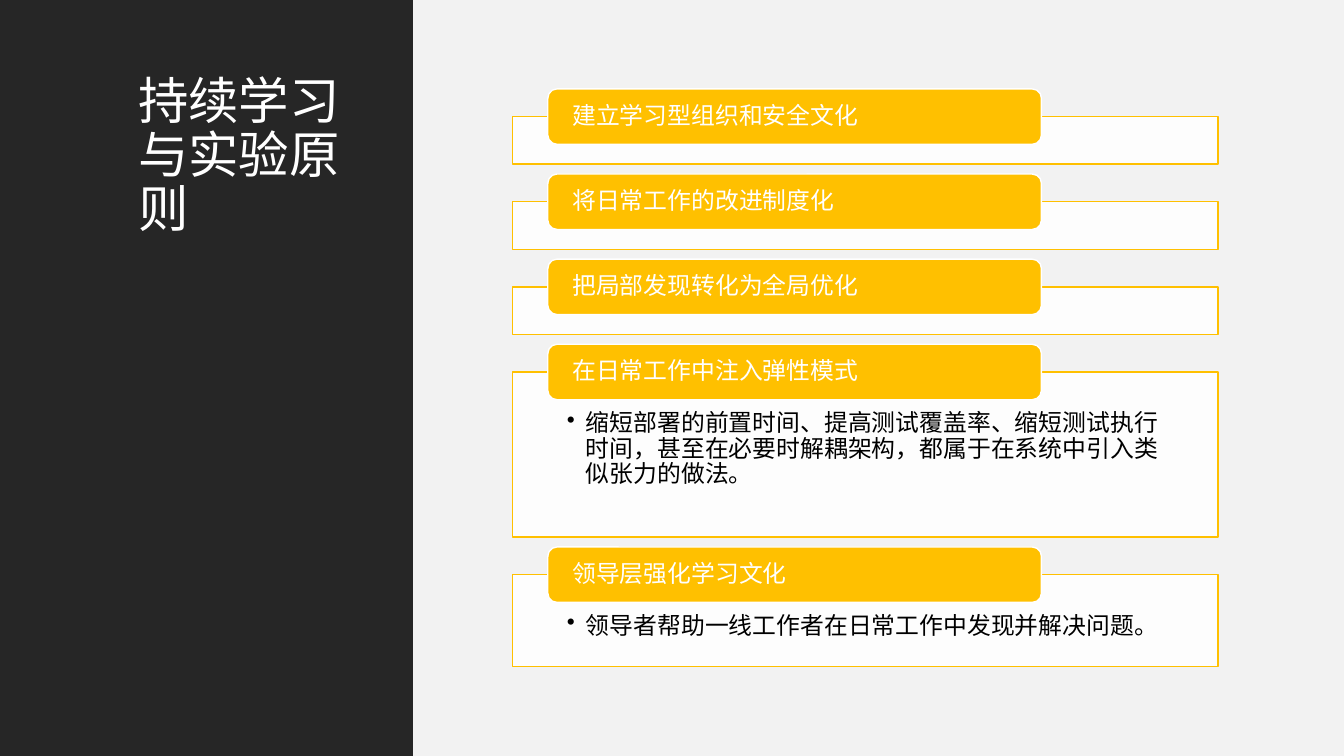
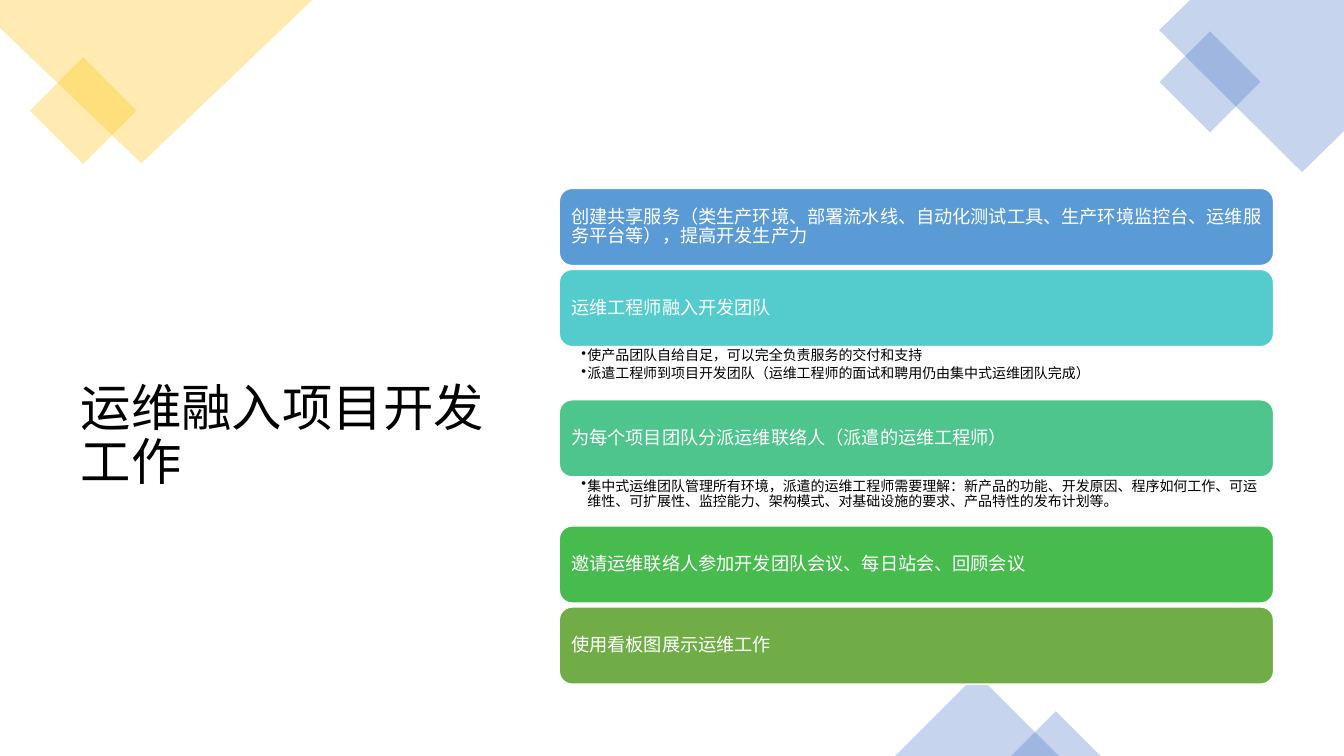
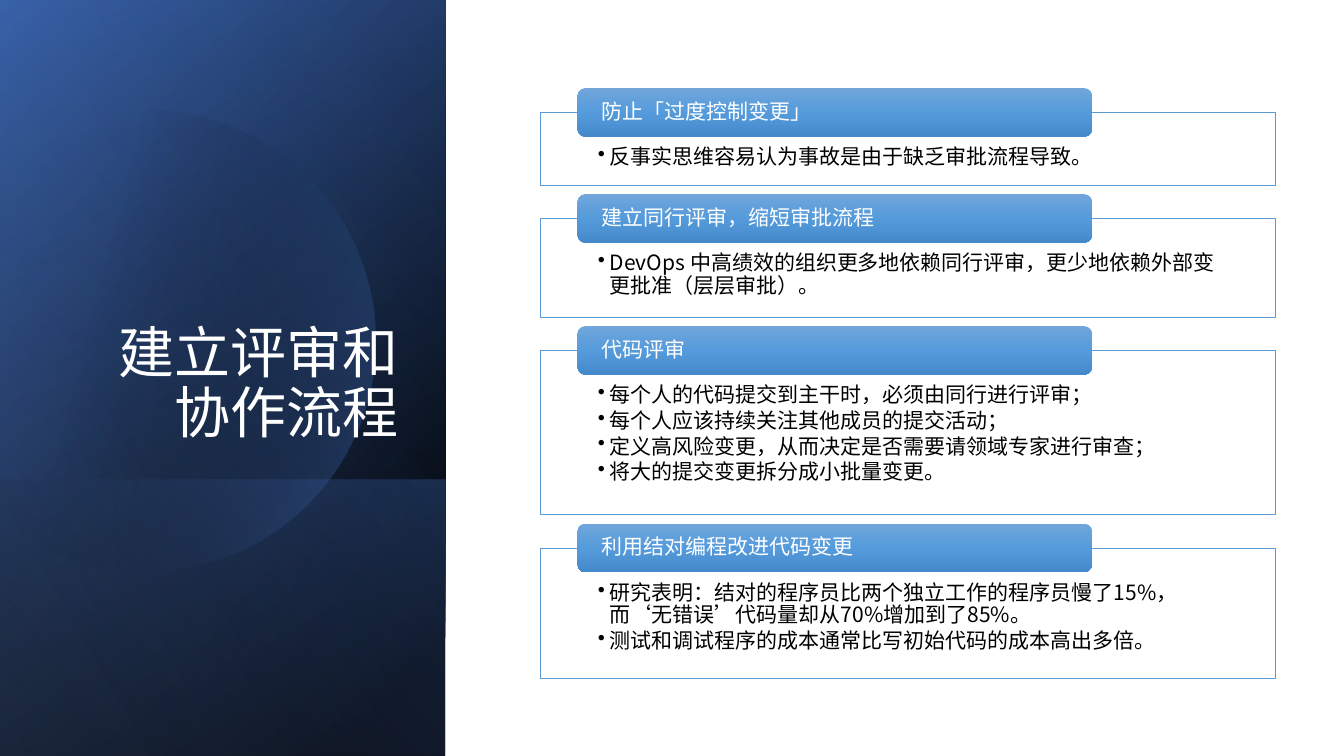
"""Build three slides on continuous learning, shared operations and code review."""
from dataclasses import dataclass
from math import acos, cos, pi, sin

from lxml.etree import SubElement
from pptx import Presentation
from pptx.dml.color import RGBColor
from pptx.enum.shapes import MSO_SHAPE
from pptx.enum.text import MSO_ANCHOR, MSO_AUTO_SIZE, PP_ALIGN
from pptx.oxml.ns import qn
from pptx.util import Pt


@dataclass(frozen=True)
class Theme:
    font: str = "Noto Sans CJK SC"
    white: str = "FFFFFF"
    black: str = "000000"
    pale: str = "F2F2F2"
    dark: str = "262626"
    gold: str = "FFC000"
    blue: str = "4472C4"
    navy: str = "2F5597"
    mist: str = "8FAADC"
    sky: str = "5B9BD5"
    gloss: tuple = ((0, "71A6DB", 100), (50, "559BDB", 100), (100, "448ACA", 100))
    steps: tuple = ("5B9BD5", "54CCCD", "4DC58D", "48BB4F", "70AD47")
    title: int = 36
    large: int = 40
    card: int = 17
    small: int = 15
    bar: int = 13
    note: int = 10
    pitch: float = 1.07


T = Theme()
WIDE, HIGH = 960, 540
RECT, ROUND = MSO_SHAPE.RECTANGLE, MSO_SHAPE.ROUNDED_RECTANGLE


def write(frame, *texts, size, color=T.black, align=PP_ALIGN.LEFT,
          anchor=MSO_ANCHOR.TOP, inset=(7.2, 3.6, 7.2, 3.6), hang=0, after=0):
    frame.word_wrap = True
    frame.auto_size = MSO_AUTO_SIZE.NONE
    frame.vertical_anchor = anchor
    (frame.margin_left, frame.margin_top,
     frame.margin_right, frame.margin_bottom) = map(Pt, inset)
    for i, text in enumerate(texts):
        para = frame.add_paragraph() if i else frame.paragraphs[0]
        if hang:
            props = para._p.get_or_add_pPr()
            props.set("marL", str(Pt(hang)))
            props.set("indent", str(-Pt(hang)))
            SubElement(props, qn("a:buChar"), char="•")
        para.alignment = align
        para.line_spacing = Pt(round(size * T.pitch, 2))
        para.space_before, para.space_after = Pt(0), Pt(after)
        run = para.add_run()
        run.text = text
        run.font.size = Pt(size)
        run.font.color.rgb = RGBColor.from_string(color)
        run.font.name = T.font
        SubElement(run._r.get_or_add_rPr(), qn("a:ea"), typeface=T.font)


def tint(parent, color, alpha):
    node = SubElement(parent, qn("a:srgbClr"), val=color)
    if alpha < 100:
        SubElement(node, qn("a:alpha"), val=str(alpha * 1000))


def paint(shape, fill, alpha=100, angle=90, line=None, weight=1):
    shape.shadow.inherit = False
    props = shape._element.spPr
    solid = isinstance(fill, str)
    node = SubElement(props, qn("a:solidFill" if solid else "a:gradFill"))
    props.insert(2, node)
    if solid:
        tint(node, fill, alpha)
    else:
        stops = SubElement(node, qn("a:gsLst"))
        for place, color, part in fill:
            stop = SubElement(stops, qn("a:gs"), pos=str(place * 1000))
            tint(stop, color, part)
        SubElement(node, qn("a:lin"), ang=str(angle * 60000), scaled="0")
    if line:
        shape.line.color.rgb = RGBColor.from_string(line)
        shape.line.width = Pt(weight)
    else:
        shape.line.fill.background()
    return shape


def block(slide, kind, box, fill, turn=0, **style):
    shape = slide.shapes.add_shape(kind, *map(Pt, box))
    shape.rotation = turn
    return paint(shape, fill, **style)


def outline(slide, points, fill, **style):
    spots = [(Pt(x), Pt(y)) for x, y in points]
    path = slide.shapes.build_freeform(*spots[0])
    path.add_line_segments(spots[1:], close=True)
    return paint(path.convert_to_shape(), fill, **style)


def head(slide, text, box, **style):
    title = slide.shapes.title
    title.left, title.top, title.width, title.height = map(Pt, box)
    write(title.text_frame, text, **style)
    title._element.getparent().append(title._element)


def cards(slide, rows, box, tab, gap, size, inset, hang, fill, edge, weight, rim=None):
    left, top, width = box
    shift, wide, tall = tab
    for label, height, notes in rows:
        frame = block(slide, RECT, (left, top + tall / 2, width, height), T.white,
                      alpha=90, line=edge, weight=weight)
        if notes:
            write(frame.text_frame, *notes, size=size, inset=inset, hang=hang, after=2.25)
        cap = block(slide, ROUND, (left + shift, top, wide, tall), fill, line=rim)
        write(cap.text_frame, label, size=size, color=T.white,
              anchor=MSO_ANCHOR.MIDDLE, inset=(15.5, 0, 15.5, 0))
        top += tall / 2 + height + gap


def bars(slide, rows, left, top, width, height, gap):
    for (label, space, notes), fill in zip(rows, T.steps):
        bar = block(slide, ROUND, (left, top, width, height), fill, line=T.white)
        write(bar.text_frame, label, size=T.bar, color=T.white,
              anchor=MSO_ANCHOR.MIDDLE, inset=(6, 4, 6, 4))
        top += height
        if notes:
            box = slide.shapes.add_textbox(*map(Pt, (left, top, width, space)))
            write(box.text_frame, *notes, size=T.note, inset=(15.8, 1.4, 7.2, 1.4),
                  hang=4.3, after=2)
        top += space or gap


def learn(slide):
    block(slide, RECT, (294.5, 0, WIDE - 294.5, HIGH), T.pale)
    block(slide, RECT, (0, 0, 295, HIGH), T.dark)
    head(slide, "持续学习与实验原则", (91.4, 50.4, 172.8, 439.2), size=T.title, color=T.white)
    rows = (
        ("建立学习型组织和安全文化", 34, ()),
        ("将日常工作的改进制度化", 34, ()),
        ("把局部发现转化为全局优化", 34, ()),
        ("在日常工作中注入弹性模式", 118,
         ("缩短部署的前置时间、提高测试覆盖率、缩短测试执行时间，甚至在必要时解耦架构，都属于在系统中引入类似张力的做法。",)),
        ("领导层强化学习文化", 65.5, ("领导者帮助一线工作者在日常工作中发现并解决问题。",)),
    )
    cards(slide, rows, (366, 63.5, 504), (25.3, 352.6, 39.6), 7, T.card,
          (39, 28, 39, 9.4), 13.5, T.gold, T.gold, 1, T.white)


def team(slide):
    head(slide, "运维融入项目开发工作", (50.4, 134, 311.8, 355.7), size=T.title,
         anchor=MSO_ANCHOR.MIDDLE)
    block(slide, RECT, (32.4, 52, 54, 54), T.gold, turn=45, alpha=30)
    outline(slide, ((0, 0), (223, 0), (101, 116.6), (0, 20)), T.gold, alpha=30)
    outline(slide, ((850, 0), (WIDE, 0), (WIDE, 93.6), (930, 123), (828, 21.6)),
            T.blue, alpha=30)
    block(slide, RECT, (838.8, 33, 51, 51), T.blue, turn=45, alpha=30)
    for left, width in ((639.4, 117), (722.2, 64)):
        block(slide, MSO_SHAPE.ISOSCELES_TRIANGLE,
              (left, HIGH - width / 2, width, width / 2), T.blue, alpha=30)
    rows = (
        ("创建共享服务（类生产环境、部署流水线、自动化测试工具、生产环境监控台、运维服务平台等），提高开发生产力", 0, ()),
        ("运维工程师融入开发团队", 38,
         ("使产品团队自给自足，可以完全负责服务的交付和支持",
          "派遣工程师到项目开发团队（运维工程师的面试和聘用仍由集中式运维团队完成）")),
        ("为每个项目团队分派运维联络人（派遣的运维工程师）", 35,
         ("集中式运维团队管理所有环境，派遣的运维工程师需要理解：新产品的功能、开发原因、程序如何工作、可运维性、可扩展性、监控能力、架构模式、对基础设施的要求、产品特性的发布计划等。",)),
        ("邀请运维联络人参加开发团队会议、每日站会、回顾会议", 0, ()),
        ("使用看板图展示运维工作", 0, ()),
    )
    bars(slide, rows, 399.5, 134.6, 510.2, 55.1, 2.8)


def review(slide):
    side = (0, 0, 318.2, HIGH)
    block(slide, RECT, side, ((8, T.black, 100), (100, T.navy, 100)), angle=220)
    block(slide, RECT, side, ((0, T.black, 0), (99, T.blue, 46)), angle=240)
    block(slide, RECT, (0, 342.7, 318.2, HIGH - 342.7),
          ((2, T.blue, 29), (100, T.black, 30)), angle=140)
    mid, drop, reach, count = 103.5, 243.5, 165, 120
    limit = acos(-mid / reach)
    turns = [limit * (2 * i / count - 1) for i in range(count + 1)]
    disc = [(mid + reach * cos(t), drop + reach * sin(t)) for t in turns]
    outline(slide, disc, ((29, T.black, 0), (100, T.blue, 43)), angle=14)
    block(slide, RECT, side, ((0, T.black, 0), (99, T.mist, 11)), angle=150)
    head(slide, "建立评审和协作流程", (46, 132.5, 245.5, 188.6), size=T.large,
         color=T.white, align=PP_ALIGN.RIGHT, anchor=MSO_ANCHOR.BOTTOM)
    rows = (
        ("防止「过度控制变更」", 52, ("反事实思维容易认为事故是由于缺乏审批流程导致。",)),
        ("建立同行评审，缩短审批流程", 70.6,
         ("DevOps 中高绩效的组织更多地依赖同行评审，更少地依赖外部变更批准（层层审批）。",)),
        ("代码评审", 117.4,
         ("每个人的代码提交到主干时，必须由同行进行评审；",
          "每个人应该持续关注其他成员的提交活动；",
          "定义高风险变更，从而决定是否需要请领域专家进行审查；",
          "将大的提交变更拆分成小批量变更。")),
        ("利用结对编程改进代码变更", 92.9,
         ("研究表明：结对的程序员比两个独立工作的程序员慢了15%，而‘无错误’代码量却从70%增加到了85%。",
          "测试和调试程序的成本通常比写初始代码的成本高出多倍。")),
    )
    cards(slide, rows, (386, 62.9, 525), (26.5, 367.5, 34.8), 6.3, T.small,
          (41, 24.5, 41, 8.6), 8.6, T.gloss, T.sky, 0.5)


def main():
    deck = Presentation()
    deck.slide_width, deck.slide_height = Pt(WIDE), Pt(HIGH)
    for draw in (learn, team, review):
        draw(deck.slides.add_slide(deck.slide_layouts[5]))
    deck.save("out.pptx")


if __name__ == "__main__":
    main()
